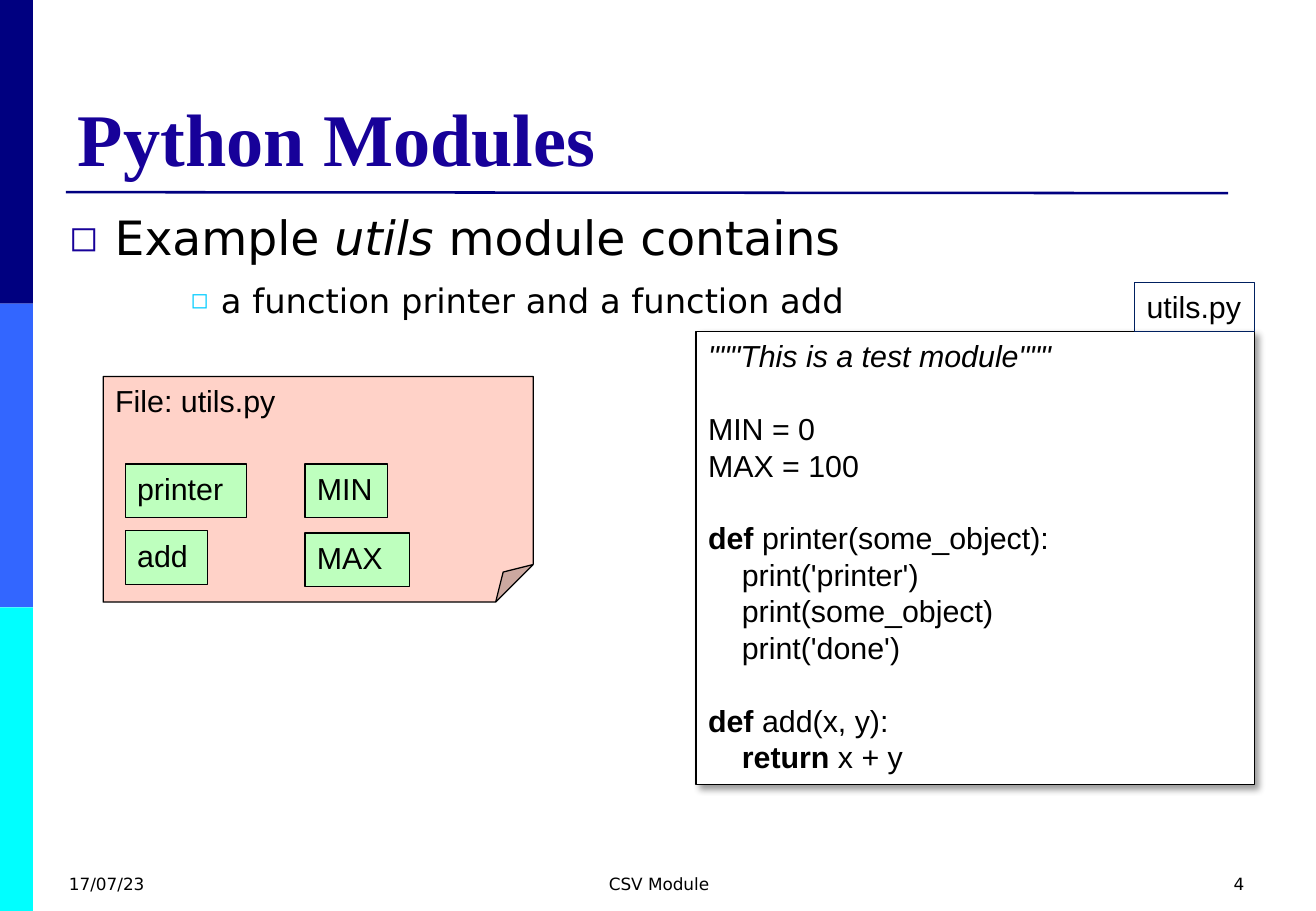
from lxml import etree
from pptx import Presentation
from pptx.dml.color import RGBColor
from pptx.enum.shapes import MSO_CONNECTOR, MSO_SHAPE
from pptx.enum.text import MSO_ANCHOR, MSO_AUTO_SIZE, PP_ALIGN
from pptx.oxml.ns import qn
from pptx.util import Pt

RECT = MSO_SHAPE.RECTANGLE
FOLDED = MSO_SHAPE.FOLDED_CORNER
STRAIGHT = MSO_CONNECTOR.STRAIGHT
TOP, BOTTOM = MSO_ANCHOR.TOP, MSO_ANCHOR.BOTTOM
LEFT, CENTER, RIGHT = PP_ALIGN.LEFT, PP_ALIGN.CENTER, PP_ALIGN.RIGHT
NO_FIT = MSO_AUTO_SIZE.NONE

COLORS = {
    "navy": "000080", "blue": "3366FF", "cyan": "00FFFF",
    "title": "170199", "sub_bullet": "00CCFF", "label": "002060",
    "file": "FFD2C8", "member": "BEFFBE", "white": "FFFFFF", "black": "000000",
}

CODE_LINE = 21.6
CODE_INDENT = 20
CODE = [
    (0, 0, [('"""This is a test module"""', "i")]),
    (1, 0, [("MIN = 0", "")]),
    (0, 0, [("MAX = 100", "")]),
    (1, 0, [("def", "b"), (" printer(some_object):", "")]),
    (0, 1, [("print('printer')", "")]),
    (0, 1, [("print(some_object)", "")]),
    (0, 1, [("print('done')", "")]),
    (1, 0, [("def", "b"), (" add(x, y):", "")]),
    (0, 1, [("return", "b"), (" x + y", "")]),
]
MEMBERS = [
    (13, 39.6, [("printer", 72), ("add", 49)]),
    (119.5, 41, [("MIN", 49), ("MAX", 62)]),
]


def rgb(name):
    return RGBColor.from_string(COLORS[name])


def add_run(paragraph, text, size, face="Arial", color="black", style=""):
    run = paragraph.add_run()
    run.text = text
    font = run.font
    font.size, font.name, font.color.rgb = Pt(size), face, rgb(color)
    font.bold, font.italic = "b" in style, "i" in style


def add_box(slide, box, fill=None, outline=None, text="", kind=RECT):
    shape = slide.shapes.add_shape(kind, *map(Pt, box))
    shape.shadow.inherit = False
    if fill:
        shape.fill.solid()
        shape.fill.fore_color.rgb = rgb(fill)
    else:
        shape.fill.background()
    if outline:
        shape.line.color.rgb = rgb(outline)
        shape.line.width = Pt(0.75)
    else:
        shape.line.fill.background()
    frame = shape.text_frame
    frame.vertical_anchor = TOP
    frame.paragraphs[0].alignment = LEFT
    if text:
        add_run(frame.paragraphs[0], text, 18)
    return shape


def place(holder, box):
    holder.left, holder.top, holder.width, holder.height = map(Pt, box)
    holder.text_frame.auto_size = NO_FIT
    return holder.text_frame


def set_bullet(paragraph, color, percent, margin, hanging):
    props = paragraph._p.get_or_add_pPr()
    props.set("marL", str(Pt(margin)))
    props.set("indent", str(-Pt(hanging)))
    bullet_color = etree.SubElement(props, qn("a:buClr"))
    etree.SubElement(bullet_color, qn("a:srgbClr"), val=COLORS[color])
    etree.SubElement(props, qn("a:buSzPct"), val=str(percent * 1000))
    etree.SubElement(props, qn("a:buFont"), typeface="DejaVu Sans")
    etree.SubElement(props, qn("a:buChar"), char="◻")


def add_side_band(slide, box):
    left, top, width, height = box
    part = height / 3
    for index, color in enumerate(("navy", "blue", "cyan")):
        add_box(slide, (left, top + index * part, width, part), color)


def add_heading(slide, box):
    left, top, width, height = box
    frame = place(slide.shapes.title, box)
    frame.vertical_anchor = BOTTOM
    heading = frame.paragraphs[0]
    heading.alignment = LEFT
    add_run(heading, "Python Modules", 44, "Times New Roman", "title", "b")
    rule_top = top + height + 3
    rule = slide.shapes.add_connector(
        STRAIGHT, Pt(left), Pt(rule_top), Pt(left + 689), Pt(rule_top + 0.6))
    rule.line.color.rgb = rgb("navy")
    rule.line.width = Pt(1.5)
    etree.SubElement(rule._element.spPr, qn("a:effectLst"))


def add_outline(slide, box):
    frame = place(slide.placeholders[1], box)
    frame.vertical_anchor = TOP
    example = frame.paragraphs[0]
    example.line_spacing, example.space_before = 1.25, Pt(7)
    set_bullet(example, "title", 75, 27, 27)
    for text, style in (("Example ", ""), ("utils", "i"), (" module contains", "")):
        add_run(example, text, 28, "DejaVu Sans", style=style)
    functions = frame.add_paragraph()
    functions.level = 2
    functions.line_spacing, functions.space_before = 1.15, Pt(5)
    set_bullet(functions, "sub_bullet", 65, 90, 18)
    add_run(functions, "a function printer and a function add", 20, "DejaVu Sans")


def add_code(slide, box):
    left, top, width, height = box
    listing = add_box(slide, box, "white", "black")
    effects = listing._element.spPr.find(qn("a:effectLst"))
    shadow = etree.SubElement(
        effects, qn("a:outerShdw"), blurRad=str(Pt(4)), dist=str(Pt(3)),
        dir="2700000", algn="tl", rotWithShape="0")
    shade = etree.SubElement(shadow, qn("a:srgbClr"), val=COLORS["black"])
    etree.SubElement(shade, qn("a:alpha"), val="40000")
    frame = listing.text_frame
    for index, (gap, depth, parts) in enumerate(CODE):
        line = frame.add_paragraph() if index else frame.paragraphs[0]
        line.alignment = LEFT
        line.line_spacing = Pt(CODE_LINE)
        line.space_before = Pt(gap * CODE_LINE)
        line._p.get_or_add_pPr().set("marL", str(Pt(depth * CODE_INDENT)))
        for text, style in parts:
            add_run(line, text, 18, style=style)
    tab_width, tab_height = 71.3, 29.2
    tab = add_box(slide, (left + width - tab_width, top - tab_height, tab_width, tab_height),
                  outline="label", text="utils.py")
    tab.text_frame.word_wrap = False


def add_file(slide, box):
    left, top, width, height = box
    add_box(slide, box, "file", "black", "File: utils.py", FOLDED)
    for offset, pitch, names in MEMBERS:
        for row, (name, name_width) in enumerate(names):
            spot = (left + offset, top + 51.8 + row * pitch, name_width, 31.9)
            add_box(slide, spot, "member", "black", name)


def add_footer(slide, box):
    left, top, width, height = box
    entries = (("17/07/23", 0, 182, LEFT), ("CSV Module", 233.3, 247, CENTER),
               ("4", width - 182, 182, RIGHT))
    for text, offset, entry_width, alignment in entries:
        entry = slide.shapes.add_textbox(
            Pt(left + offset), Pt(top), Pt(entry_width), Pt(height))
        entry.text_frame.word_wrap = True
        paragraph = entry.text_frame.paragraphs[0]
        paragraph.alignment = alignment
        add_run(paragraph, text, 10, "DejaVu Sans")


def main():
    deck = Presentation()
    deck.slide_width, deck.slide_height = Pt(780), Pt(540)
    slide = deck.slides.add_slide(deck.slide_layouts[1])
    add_side_band(slide, (0, 0, 19.5, 540))
    add_heading(slide, (39, 21.6, 702, 89.3))
    add_outline(slide, (33.8, 111.6, 702, 356.4))
    add_code(slide, (412.6, 196.5, 331.2, 268.5))
    add_file(slide, (61.2, 223.2, 254.9, 133.7))
    add_footer(slide, (33.8, 514, 710.7, 26))
    deck.save("out.pptx")


if __name__ == "__main__":
    main()
